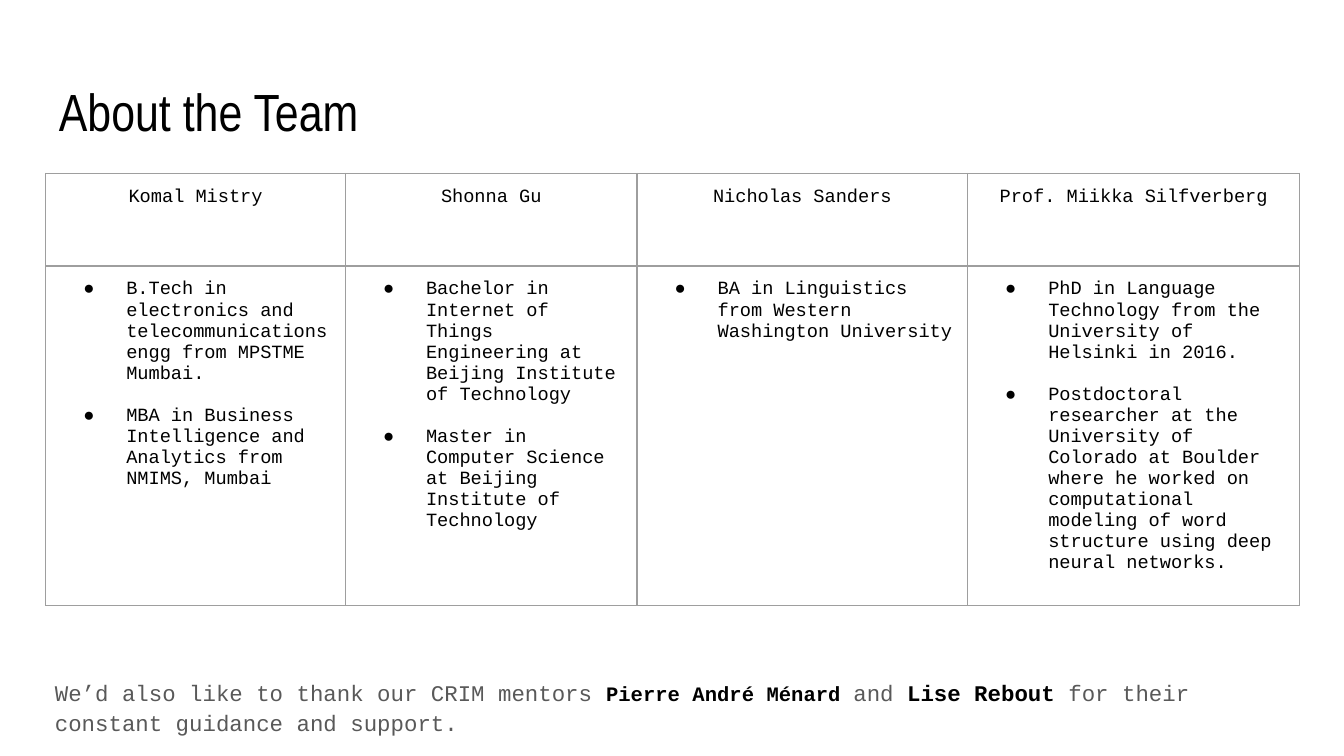
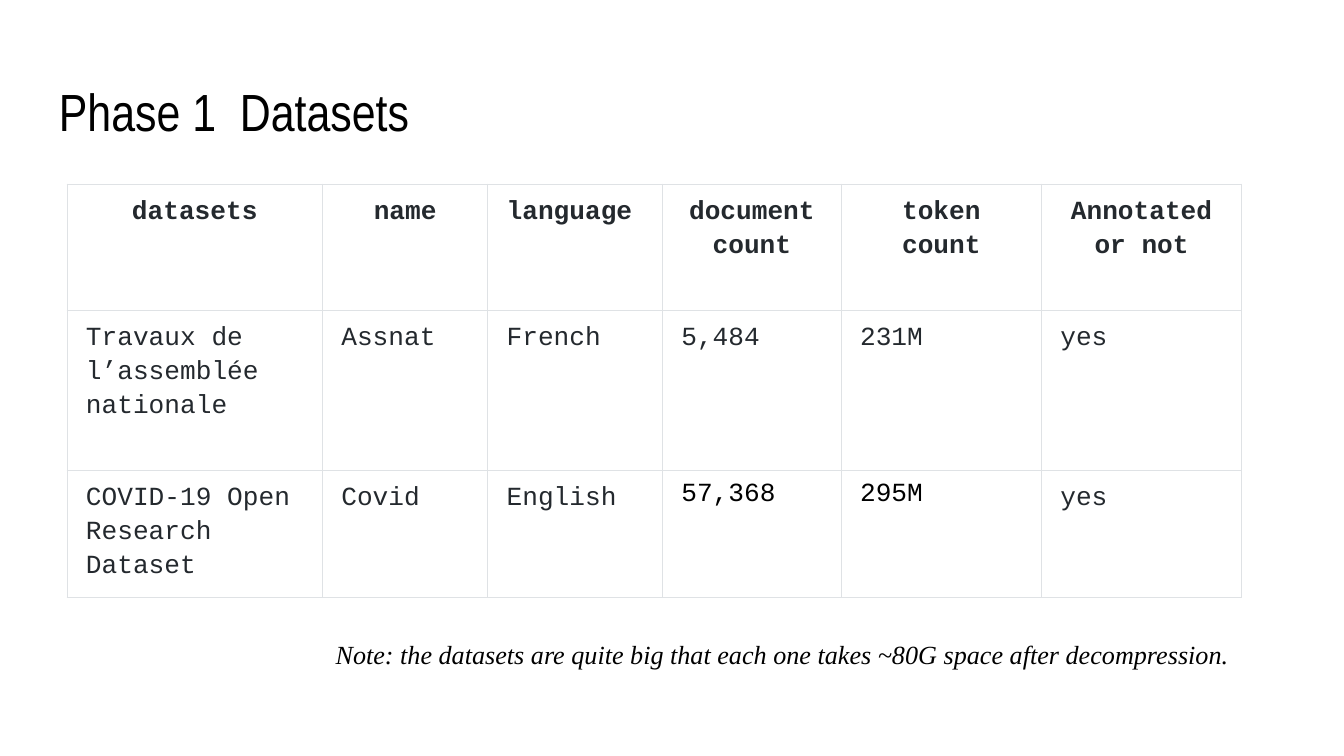
from lxml.etree import SubElement
from pptx import Presentation
from pptx.dml.color import RGBColor
from pptx.enum.text import PP_ALIGN as AL
from pptx.oxml.ns import qn
from pptx.util import Inches, Pt

# Shared style
BLACK = RGBColor(0, 0, 0)
WHITE = RGBColor(255, 255, 255)
GRAY = RGBColor(0x59, 0x59, 0x59)
INK = RGBColor(0x24, 0x29, 0x2E)
TEAM_BORDER = RGBColor(0x9E, 0x9E, 0x9E)
DATA_BORDER = RGBColor(0xDF, 0xE2, 0xE5)
MONO, TITLE_FONT, NOTE_FONT = "Courier New", "Arial Narrow", "Times New Roman"

# Slide content
TEAM = {
    "Komal Mistry": [
        "B.Tech in electronics and telecommunications engg from MPSTME Mumbai.",
        "MBA in Business Intelligence and Analytics from NMIMS, Mumbai"],
    "Shonna Gu": [
        "Bachelor in Internet of Things Engineering at Beijing Institute of Technology",
        "Master in Computer Science at Beijing Institute of Technology"],
    "Nicholas Sanders": [
        "BA in Linguistics from Western Washington University"],
    "Prof. Miikka Silfverberg": [
        "PhD in Language Technology from the University of Helsinki in 2016.",
        "Postdoctoral researcher at the University of Colorado at Boulder where he "
        "worked on computational modeling of word structure using deep neural networks."],
}
THANKS = [
    ("We’d also like to thank our CRIM mentors ", 12, GRAY, False),
    ("Pierre André Ménard ", 11, BLACK, True),
    ("and ", 12, GRAY, False),
    ("Lise Rebout ", 12, BLACK, True),
    ("for their constant guidance and support.", 12, GRAY, False),
]
DATASETS = [
    ["datasets", "name", "language", "document count", "token count", "Annotated or not"],
    ["Travaux de l’assemblée nationale", "Assnat", "French", "5,484", "231M", "yes"],
    ["COVID-19 Open Research Dataset", "Covid", "English", "57,368", "295M", "yes"],
]
PLAIN_CELLS = ("57,368", "295M")


def style(font, name, size, color, bold=False, italic=False):
    font.name, font.size = name, Pt(size)
    font.bold, font.italic = bold, italic
    font.color.rgb = color


def set_margins(obj, x, y):
    obj.margin_left = obj.margin_right = Inches(x)
    obj.margin_top = obj.margin_bottom = Inches(y)


def add_text(s, left, top, width, height):
    """Add an empty text box and return its first paragraph."""
    box = s.shapes.add_textbox(Inches(left), Inches(top), Inches(width), Inches(height))
    tf = box.text_frame
    tf.word_wrap = True
    set_margins(tf, 0.1, 0.1)
    return tf.paragraphs[0]


def add_slide(prs, title):
    s = prs.slides.add_slide(prs.slide_layouts[6])
    s.background.fill.solid()
    s.background.fill.fore_color.rgb = WHITE
    p = add_text(s, 0.34, 0.49, 9.32, 0.63)
    p.text = title
    style(p.runs[0].font, TITLE_FONT, 28, BLACK)
    return s


def set_borders(cell, color):
    tc_pr = cell._tc.get_or_add_tcPr()
    for side in ("lnL", "lnR", "lnT", "lnB"):
        ln = SubElement(tc_pr, qn(f"a:{side}"), w=str(Pt(0.75)))
        fill = SubElement(ln, qn("a:solidFill"))
        SubElement(fill, qn("a:srgbClr"), val=str(color))


def add_grid(s, left, top, widths, heights, border, margins, fill=None):
    """Add an empty bordered table."""
    table = s.shapes.add_table(
        len(heights), len(widths), Inches(left), Inches(top),
        Inches(sum(widths)), Inches(sum(heights))).table
    table.first_row = table.horz_banding = False
    for col, width in zip(table.columns, widths):
        col.width = Inches(width)
    for row, height in zip(table.rows, heights):
        row.height = Inches(height)
    for cell in table.iter_cells():
        set_margins(cell, *margins)
        set_borders(cell, border)
        if fill is None:
            cell.fill.background()
        else:
            cell.fill.solid()
            cell.fill.fore_color.rgb = fill
    return table


def add_bullet(p):
    p_pr = p._p.get_or_add_pPr()
    p_pr.set("marL", str(Inches(0.5)))
    p_pr.set("indent", str(Inches(-0.32)))
    color = SubElement(p_pr, qn("a:buClr"))
    SubElement(color, qn("a:srgbClr"), val=str(BLACK))
    SubElement(p_pr, qn("a:buSzPts"), val="1000")
    SubElement(p_pr, qn("a:buFont"), typeface=MONO)
    SubElement(p_pr, qn("a:buChar"), char="●")


def fill_bullets(tf, items):
    tf.text = "\n".join(items)
    for p in tf.paragraphs:
        add_bullet(p)
        style(p.runs[0].font, MONO, 10, BLACK)
    for p in tf.paragraphs[:-1]:
        p.space_after = Pt(11.3)


def team_slide(prs):
    s = add_slide(prs, "About the Team")
    # Acknowledgement
    p = add_text(s, 0.31, 4.92, 9.39, 0.53)
    p.line_spacing, p.space_after = 1.15, Pt(16)
    for text, size, color, bold in THANKS:
        r = p.add_run()
        r.text = text
        style(r.font, MONO, size, color, bold)
    # Members and their degrees
    table = add_grid(s, 0.34, 1.29, [2.23, 2.17, 2.46, 2.47], [0.69, 2.4],
                     TEAM_BORDER, (0.1, 0.1))
    for col, (name, degrees) in enumerate(TEAM.items()):
        head = table.cell(0, col).text_frame
        head.text = name
        p = head.paragraphs[0]
        p.alignment = AL.CENTER
        style(p.runs[0].font, MONO, 10, BLACK)
        fill_bullets(table.cell(1, col).text_frame, degrees)


def datasets_slide(prs):
    s = add_slide(prs, "Phase 1  Datasets")
    # Dataset overview
    table = add_grid(s, 0.5, 1.37, [1.9, 1.23, 1.3, 1.33, 1.49, 1.49],
                     [0.94, 1.19, 0.94], DATA_BORDER, (0.14, 0.07), WHITE)
    for row, values in enumerate(DATASETS):
        for col, value in enumerate(values):
            tf = table.cell(row, col).text_frame
            tf.text = value
            p = tf.paragraphs[0]
            plain = value in PLAIN_CELLS
            if not plain:
                p.line_spacing, p.space_after = 1.15, Pt(12)
            if row == 0 and value != "language":
                p.alignment = AL.CENTER
            style(p.runs[0].font, MONO, 14, BLACK if plain else INK, bold=row == 0)
    # Size note
    p = add_text(s, 0.95, 4.65, 8.3, 0.45)
    p.text = "Note: the datasets are quite big that each one takes ~80G space after decompression."
    p.alignment = AL.RIGHT
    style(p.runs[0].font, NOTE_FONT, 14, BLACK, italic=True)


def main():
    prs = Presentation()
    prs.slide_width = Inches(10)
    prs.slide_height = prs.slide_width * 9 // 16
    team_slide(prs)
    datasets_slide(prs)
    prs.save("out.pptx")


if __name__ == "__main__":
    main()
